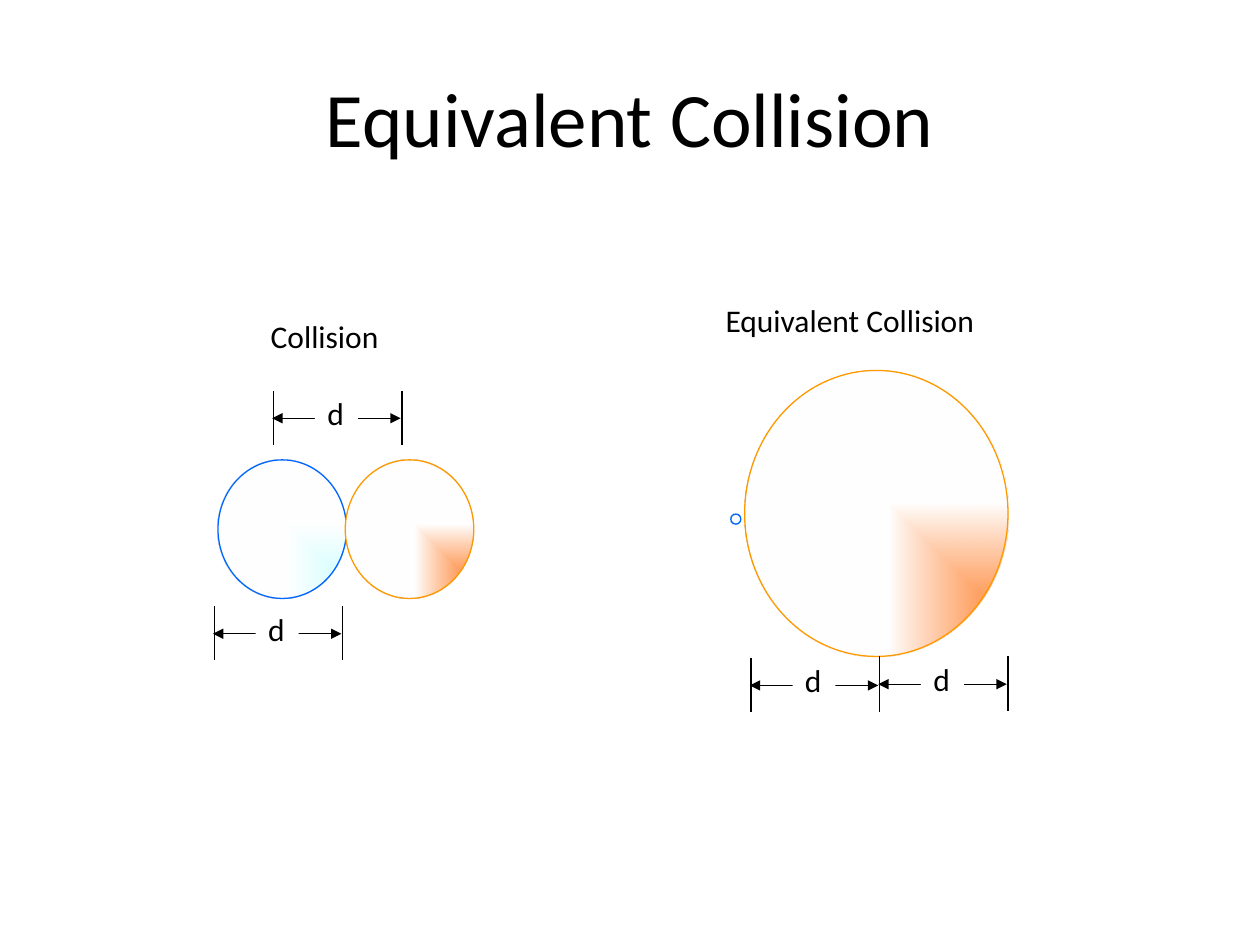
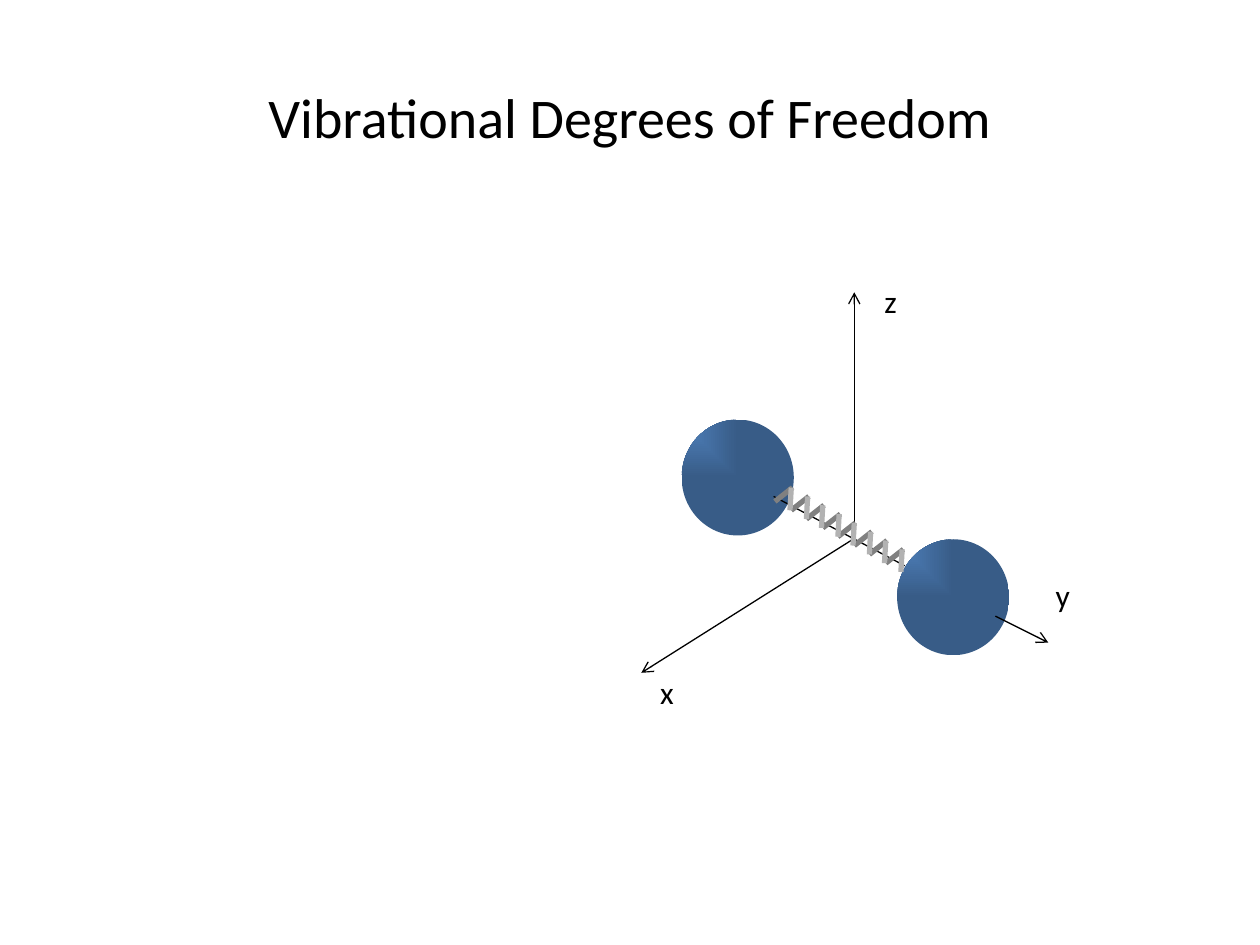
from pptx import Presentation
from pptx.dml.color import RGBColor
from pptx.enum.shapes import MSO_CONNECTOR, MSO_SHAPE
from pptx.enum.text import MSO_ANCHOR, MSO_AUTO_SIZE, PP_ALIGN
from pptx.oxml import parse_xml
from pptx.oxml.ns import nsdecls, qn
from pptx.oxml.xmlchemy import OxmlElement
from pptx.util import Pt

STRAIGHT, OVAL = MSO_CONNECTOR.STRAIGHT, MSO_SHAPE.OVAL
MIDDLE, CENTER, LEFT = MSO_ANCHOR.MIDDLE, PP_ALIGN.CENTER, PP_ALIGN.LEFT
GROW = MSO_AUTO_SIZE.SHAPE_TO_FIT_TEXT
PX = 9144  # 100 px to the inch
FONT = "Calibri"
BLACK, WHITE = "000000", "FFFFFF"
ORANGE, BLUE = "FF9900", "0066FF"
DARK_COIL, LIGHT_COIL = "808080", "B2B2B2"
rgb = RGBColor.from_string


def add_line(slide, x1, y1, x2, y2, color=BLACK, width=0.75, head=None, tail=None):
    line = slide.shapes.add_connector(STRAIGHT, x1 * PX, y1 * PX, x2 * PX, y2 * PX)
    line.line.color.rgb = rgb(color)
    line.line.width = Pt(width)
    for tag, kind in (("a:headEnd", head), ("a:tailEnd", tail)):
        if kind:
            end = OxmlElement(tag)
            end.set("type", kind)
            line.line._get_or_add_ln().append(end)
    line._element.spPr.append(OxmlElement("a:effectLst"))


def set_text(sp, text, size, align):
    tf = sp.text_frame
    tf.text = text
    p = tf.paragraphs[0]
    p.alignment = align
    p.font.size = Pt(size)
    p.font.name = FONT
    p.font.color.rgb = rgb(BLACK)
    return tf


prs = Presentation()
prs.slide_width, prs.slide_height = 1000 * PX, 750 * PX

# Slides and titles
slides = []
for title, size in (("Equivalent Collision", 44), ("Vibrational Degrees of Freedom", 32)):
    s = prs.slides.add_slide(prs.slide_layouts[5])
    s.background.fill.solid()
    s.background.fill.fore_color.rgb = rgb(WHITE)
    sp = s.shapes.title
    sp.left, sp.top, sp.width, sp.height = 50 * PX, 30 * PX, 900 * PX, 125 * PX
    set_text(sp, title, size, CENTER).vertical_anchor = MIDDLE
    slides.append(s)
collision, vibration = slides

# Shading: first colour, its change, last colour, its change, focus (l, t, r, b)
corner_end, corner_start = (100, 100, 0, 0), (0, 0, 100, 100)
cyan = ("CCFFFF", '<a:alpha val="95000"/>', WHITE, "", corner_end)
orange = ("FF6600", '<a:alpha val="83000"/>', WHITE, "", corner_end)
navy = ("4F81BD", "", "4F81BD", '<a:shade val="46275"/>', corner_start)

# Molecules
for s, x, y, w, h, shading, outline in (
    (collision, 173, 365, 102, 110, cyan, BLUE),
    (collision, 274, 365, 102, 110, orange, ORANGE),
    (collision, 580, 408, 8, 8, cyan, BLUE),
    (collision, 591, 294, 209, 227, orange, ORANGE),
    (vibration, 541, 333, 89, 92, navy, None),
    (vibration, 712, 428, 89, 92, navy, None),
):
    sp = s.shapes.add_shape(OVAL, x * PX, y * PX, w * PX, h * PX)
    sp.shadow.inherit = False
    sp.fill.background()
    first, first_mod, last, last_mod, (l, t, r, b) = shading
    gradient = parse_xml(
        f'<a:gradFill {nsdecls("a")} rotWithShape="1"><a:gsLst>'
        f'<a:gs pos="0"><a:srgbClr val="{first}">{first_mod}</a:srgbClr></a:gs>'
        f'<a:gs pos="100000"><a:srgbClr val="{last}">{last_mod}</a:srgbClr></a:gs>'
        f'</a:gsLst><a:path path="rect"><a:fillToRect l="{l}000" t="{t}000" '
        f'r="{r}000" b="{b}000"/></a:path></a:gradFill>')
    spPr = sp._element.spPr
    spPr.replace(spPr.find(qn("a:noFill")), gradient)
    if outline:
        sp.line.color.rgb = rgb(outline)
        sp.line.width = Pt(0.75)
    else:
        sp.line.fill.background()

# Diameter markers, each with a label "d" over its arrow
labels = []
for x, y in ((217, 310), (170, 481), (596, 522), (698, 521)):
    for edge in (x, x + 102):
        add_line(collision, edge, y + 43, edge, y)
    add_line(collision, x - 1, y + 22, x + 101, y + 22, head="triangle", tail="triangle")
    labels.append((collision, "d", x + 33, y - 2, 34, WHITE))

# Axes
for x1, y1, x2, y2 in ((678, 428, 678, 232), (790, 489, 832, 510), (677, 428, 509, 534)):
    add_line(vibration, x1, y1, x2, y2, tail="arrow")

# Bond and its spring, drawn from the near end
add_line(vibration, 614, 394, 718, 449)
for coil in range(7, -1, -1):
    x, y = 615 + round(coil * 88 / 7), 398 + 7 * coil
    add_line(vibration, x, y, x + 14, y - 11, DARK_COIL, 3)
    add_line(vibration, x + 12, y + 7, x + 13, y - 11, LIGHT_COIL, 3)

# Labels
labels += [
    (collision, "Collision", 205, 247, 115, None),
    (collision, "Equivalent Collision", 566, 234, 238, None),
    (vibration, "x", 514, 529, 33, None),
    (vibration, "y", 828, 452, 33, None),
    (vibration, "z", 692, 219, 33, None),
]
for s, text, x, y, w, fill in labels:
    sp = s.shapes.add_textbox(x * PX, y * PX, w * PX, 40 * PX)
    tf = set_text(sp, text, 18, LEFT)
    tf.word_wrap = False
    tf.auto_size = GROW
    if fill:
        sp.fill.solid()
        sp.fill.fore_color.rgb = rgb(fill)

prs.save("out.pptx")
